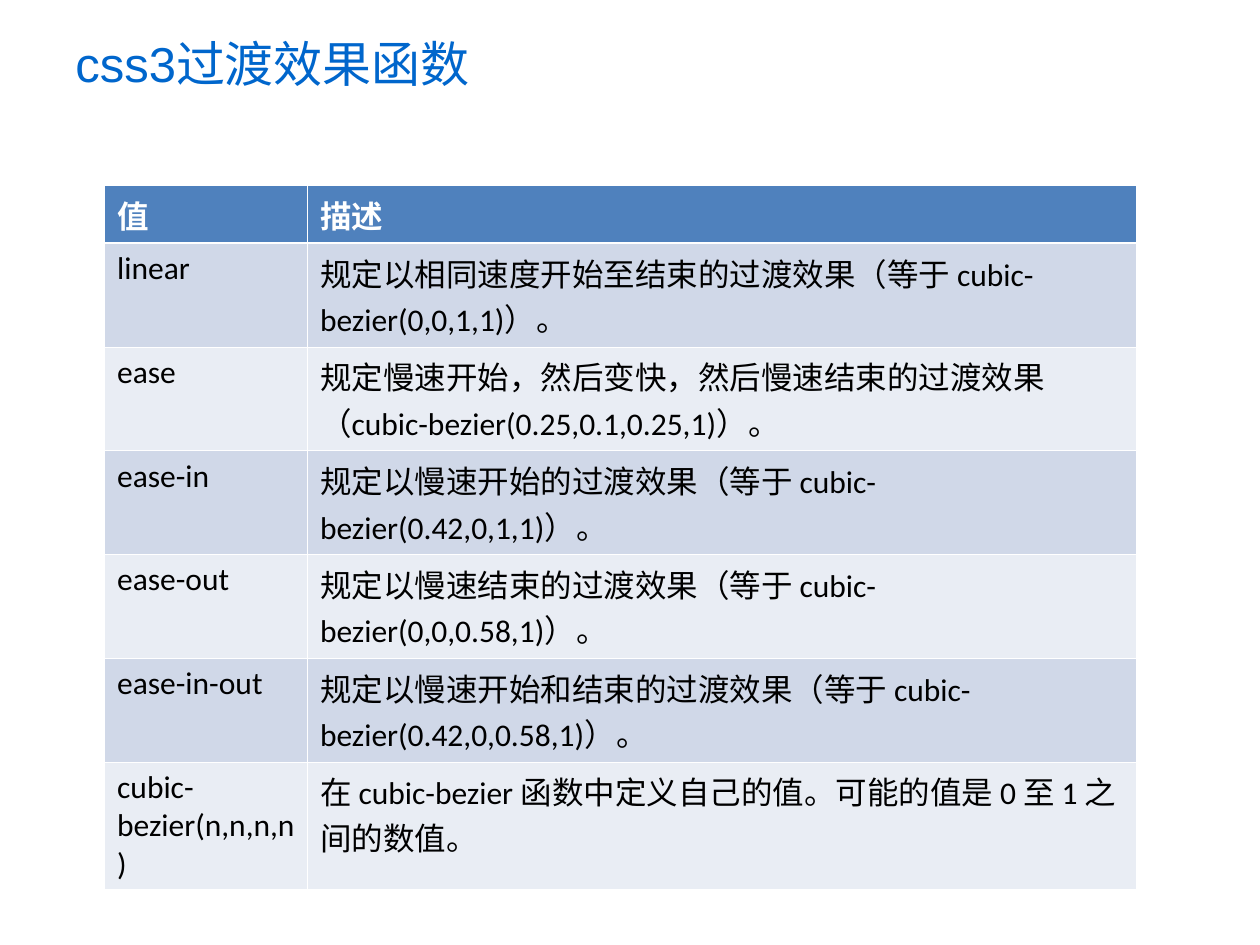
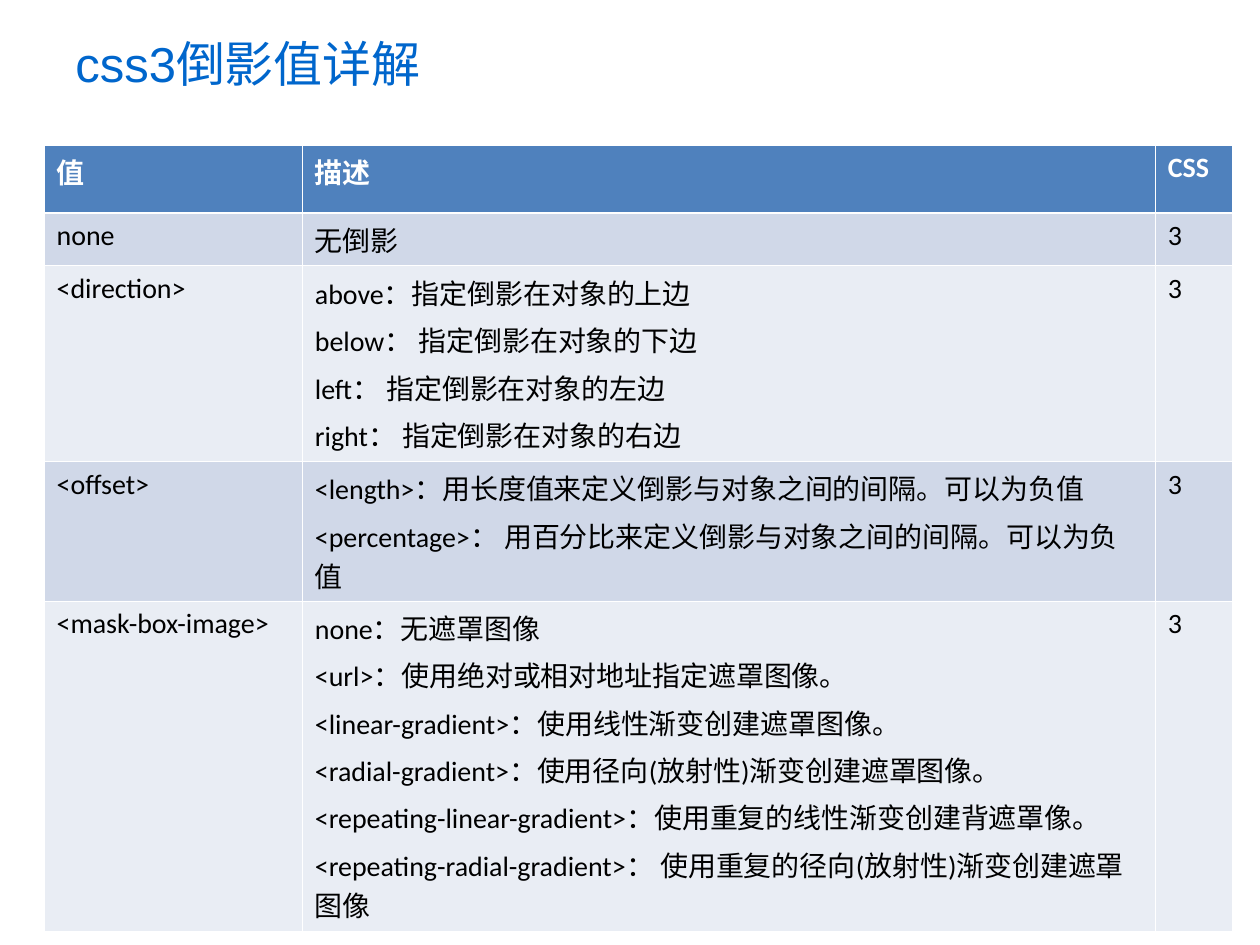
from lxml import etree
from pptx import Presentation
from pptx import util as u
from pptx.dml.color import RGBColor
from pptx.enum import text
from pptx.oxml import ns

COLORS = {
    "title": "0066CC",
    "header": "4F81BD",
    "odd_row": "D0D8E8",
    "even_row": "E9EDF4",
    "light": "FFFFFF",
    "dark": "000000",
}
THIN, THICK = 0.45, 1.47

TIMING_ROWS = [
    ["值", "描述"],
    ["linear", "规定以相同速度开始至结束的过渡效果（等于 cubic-bezier(0,0,1,1)）。"],
    ["ease", "规定慢速开始，然后变快，然后慢速结束的过渡效果（cubic-bezier(0.25,0.1,0.25,1)）。"],
    ["ease-in", "规定以慢速开始的过渡效果（等于 cubic-bezier(0.42,0,1,1)）。"],
    ["ease-out", "规定以慢速结束的过渡效果（等于 cubic-bezier(0,0,0.58,1)）。"],
    ["ease-in-out", "规定以慢速开始和结束的过渡效果（等于 cubic-bezier(0.42,0,0.58,1)）。"],
    ["cubic-bezier(n,n,n,n)", "在 cubic-bezier 函数中定义自己的值。可能的值是 0 至 1 之间的数值。"],
]

REFLECTION_ROWS = [
    ["值", "描述", "CSS"],
    ["none", "无倒影", "3"],
    ["<direction>", [
        "above：指定倒影在对象的上边",
        "below： 指定倒影在对象的下边",
        "left： 指定倒影在对象的左边",
        "right： 指定倒影在对象的右边",
    ], "3"],
    ["<offset>", [
        "<length>：用长度值来定义倒影与对象之间的间隔。可以为负值",
        "<percentage>： 用百分比来定义倒影与对象之间的间隔。可以为负值",
    ], "3"],
    ["<mask-box-image>", [
        "none：无遮罩图像",
        "<url>：使用绝对或相对地址指定遮罩图像。",
        "<linear-gradient>：使用线性渐变创建遮罩图像。",
        "<radial-gradient>：使用径向(放射性)渐变创建遮罩图像。",
        "<repeating-linear-gradient>：使用重复的线性渐变创建背遮罩像。",
        "<repeating-radial-gradient>： 使用重复的径向(放射性)渐变创建遮罩图像",
    ], "3"],
]


def rgb(name):
    return RGBColor.from_string(COLORS[name])


class SlideWriter:
    """Holds the shared style and the slide being filled."""

    title_font, table_font = "Arial", "Calibri"
    title_size = 28

    def __init__(self, deck):
        self.deck = deck
        self.slide = None

    def start(self, title):
        self.slide = self.deck.slides.add_slide(self.deck.slide_layouts[6])
        box = self.slide.shapes.add_textbox(
            u.Inches(0.5), u.Inches(0), u.Inches(7.65), u.Inches(1))
        frame = box.text_frame
        frame.word_wrap = True
        frame.vertical_anchor = text.MSO_ANCHOR.MIDDLE
        self.span(frame.paragraphs[0], title, self.title_font, self.title_size, "title")

    def span(self, para, words, font, size, color, bold=False):
        run = para.add_run()
        run.text = words
        run.font.name = font
        run.font.size = u.Pt(size)
        run.font.bold = bold
        run.font.color.rgb = rgb(color)

    def borders(self, cell, row):
        """White cell borders, with a thick rule between header and body."""
        widths = {
            "lnL": THIN,
            "lnR": THIN,
            "lnT": THICK if row == 1 else THIN,
            "lnB": THICK if row == 0 else THIN,
        }
        properties = cell._tc.get_or_add_tcPr()
        for tag, width in widths.items():
            line = etree.SubElement(properties, ns.qn(f"a:{tag}"), w=str(u.Pt(width)))
            fill = etree.SubElement(line, ns.qn("a:solidFill"))
            etree.SubElement(fill, ns.qn("a:srgbClr"), val=COLORS["light"])

    def cell(self, cell, content, row, size):
        self.borders(cell, row)
        header = row == 0
        band = "header" if header else "odd_row" if row % 2 else "even_row"
        cell.fill.solid()
        cell.fill.fore_color.rgb = rgb(band)
        frame = cell.text_frame
        lines = [content] if isinstance(content, str) else content
        for index, line in enumerate(lines):
            para = frame.add_paragraph() if index else frame.paragraphs[0]
            para.space_before = u.Pt(size / 4)
            self.span(para, line, self.table_font, size,
                      "light" if header else "dark", header)

    def table(self, left, top, widths, heights, rows, size):
        table = self.slide.shapes.add_table(
            len(rows), len(widths), u.Inches(left), u.Inches(top),
            u.Inches(sum(widths)), u.Inches(sum(heights))).table
        table.horz_banding = False
        for column, width in zip(table.columns, widths):
            column.width = u.Inches(width)
        for row, (height, contents) in enumerate(zip(heights, rows)):
            table.rows[row].height = u.Inches(height)
            for column, content in enumerate(contents):
                self.cell(table.cell(row, column), content, row, size)


def main():
    deck = Presentation()
    deck.slide_width, deck.slide_height = u.Inches(10), u.Inches(7.5)
    writer = SlideWriter(deck)

    writer.start("css3过渡效果函数")
    writer.table(0.83, 1.47, [1.61, 6.58], [0.46] + [4.12 / 5] * 5 + [1.01],
                 TIMING_ROWS, 18)

    writer.start("css3倒影值详解")
    writer.table(0.35, 1.15, [2.05, 6.77, 0.61], [0.54, 0.42, 1.55, 1.11, 2.62],
                 REFLECTION_ROWS, 16)

    deck.save("out.pptx")


if __name__ == "__main__":
    main()
